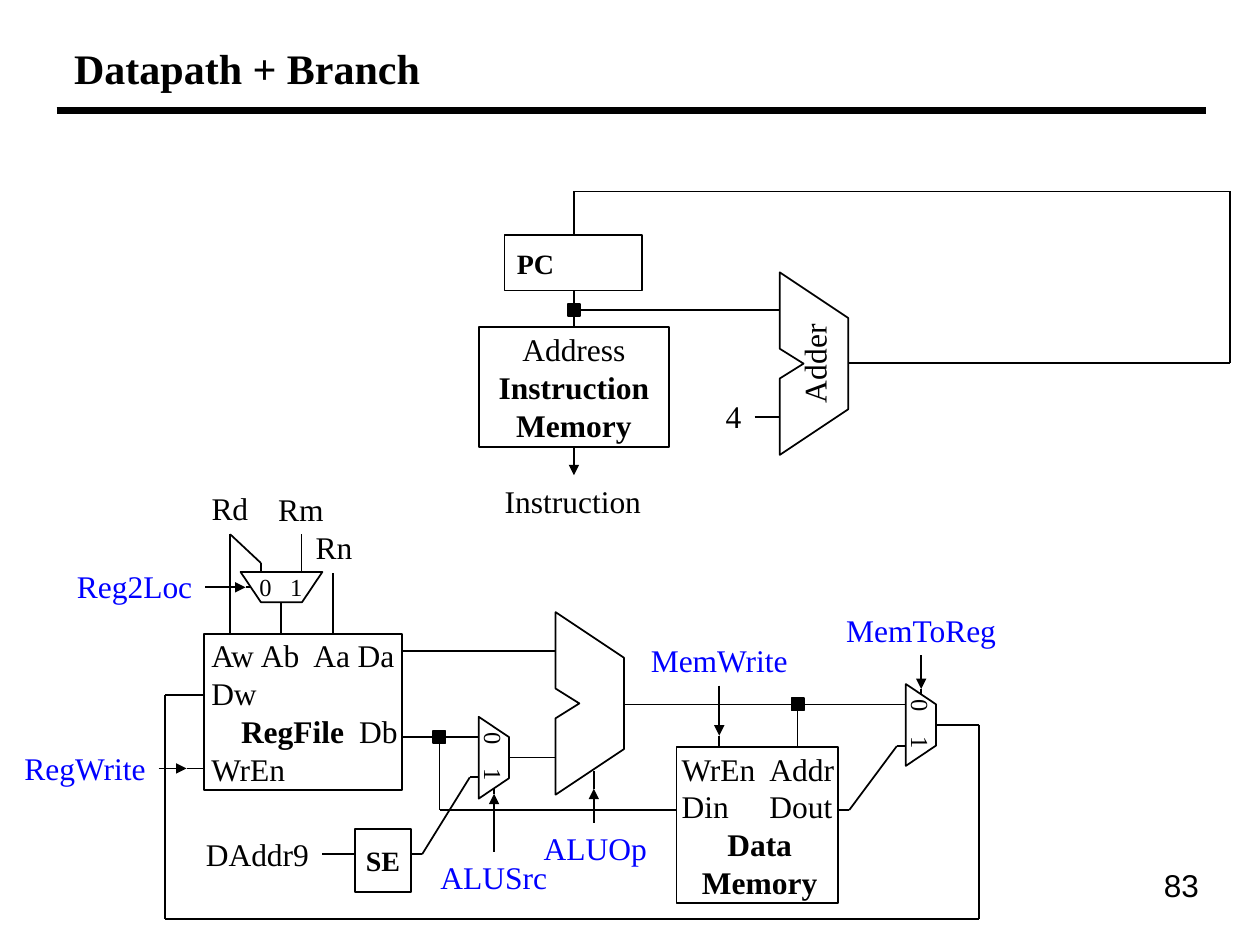
from dataclasses import dataclass

import lxml.etree
import pptx
import pptx.dml.color
import pptx.enum.shapes
import pptx.enum.text
import pptx.oxml.ns
import pptx.util

Cm, Pt = pptx.util.Cm, pptx.util.Pt
ALIGN = pptx.enum.text.PP_ALIGN
MIDDLE = pptx.enum.text.MSO_ANCHOR.MIDDLE
qn = pptx.oxml.ns.qn

BLACK, WHITE, CONTROL = "000000", "FFFFFF", "0000FF"
SERIF = "Times New Roman"
NODE = 0.25
LABEL_HEIGHT = 1.02


@dataclass
class Line:
    text: str
    bold: bool = False
    align: int = ALIGN.CENTER
    tabs: tuple[float, ...] = ()
    plain_end: str = ""


@dataclass
class Block:
    left: float
    top: float
    width: float
    height: float
    lines: list[Line]
    size: float = 18
    inset: float = 0


@dataclass
class Trapezoid:
    """Mux or ALU outline; long and depth are measured before turning."""
    left: float
    top: float
    long: float
    depth: float
    slant: float
    turn: int = 0
    notch: tuple[float, float] = (0, 0)  # half width, depth
    line: Line | None = None
    size: float = 18
    inset: float = 0


@dataclass
class Wire:
    points: list[tuple[float, float]]
    arrow: bool = False  # head at the end of the first segment


@dataclass
class Label:
    text: str
    left: float
    top: float
    width: float
    color: str = BLACK


def rgb(value: str) -> pptx.dml.color.RGBColor:
    return pptx.dml.color.RGBColor.from_string(value)


def write(frame, lines: list[Line], size: float, color: str = BLACK,
          font: str = SERIF) -> None:
    for number, line in enumerate(lines):
        paragraph = frame.add_paragraph() if number else frame.paragraphs[0]
        paragraph.text = line.text
        paragraph.alignment = line.align
        if line.tabs:
            stops = lxml.etree.SubElement(paragraph._p.get_or_add_pPr(), qn("a:tabLst"))
            for stop in line.tabs:
                lxml.etree.SubElement(stops, qn("a:tab"), pos=str(Cm(stop)), algn="l")
        if line.plain_end:
            paragraph.add_run().text = line.plain_end
        for position, run in enumerate(paragraph.runs):
            run.font.name, run.font.size = font, Pt(size)
            run.font.bold = line.bold and position == 0
            run.font.color.rgb = rgb(color)


def style(shape, fill: str = WHITE) -> None:
    shape.shadow.inherit = False
    shape.fill.solid()
    shape.fill.fore_color.rgb = rgb(fill)
    shape.line.color.rgb = rgb(BLACK)
    shape.line.width = Pt(1)


def prepare_frame(shape, inset: float):
    frame = shape.text_frame
    frame.word_wrap = True
    frame.vertical_anchor = MIDDLE
    frame.margin_left = Cm(inset)
    frame.margin_right = frame.margin_top = frame.margin_bottom = 0
    return frame


def draw_rect(slide, left, top, width, height, fill=WHITE):
    rect = slide.shapes.add_shape(pptx.enum.shapes.MSO_SHAPE.RECTANGLE,
                                  Cm(left), Cm(top), Cm(width), Cm(height))
    style(rect, fill)
    return rect


def draw_block(slide, block: Block) -> None:
    rect = draw_rect(slide, block.left, block.top, block.width, block.height)
    write(prepare_frame(rect, block.inset), block.lines, block.size)


def draw_trapezoid(slide, part: Trapezoid) -> None:
    left, top = part.left, part.top
    if part.turn:
        left -= (part.long - part.depth) / 2
        top += (part.long - part.depth) / 2
    half, dip = part.notch
    middle = part.long / 2
    outline = [(0, 0)]
    if half:
        outline += [(middle - half, 0), (middle, dip), (middle + half, 0)]
    outline += [(part.long, 0), (part.long - part.slant, part.depth),
                (part.slant, part.depth)]
    if part.turn == 90:  # keeps the long side on the left
        outline = [(x, part.depth - y) for x, y in outline]
    corners = [(Cm(left + x), Cm(top + y)) for x, y in outline]
    builder = slide.shapes.build_freeform(*corners[0])
    builder.add_line_segments(corners[1:], close=True)
    shape = builder.convert_to_shape()
    style(shape)
    shape.rotation = part.turn
    if part.line:
        write(prepare_frame(shape, part.inset), [part.line], part.size)


def draw_segment(slide, start, end, width: float = 1, arrow: bool = False) -> None:
    segment = slide.shapes.add_connector(
        pptx.enum.shapes.MSO_CONNECTOR.STRAIGHT, *map(Cm, start + end))
    segment.line.color.rgb = rgb(BLACK)
    segment.line.width = Pt(width)
    if arrow:
        lxml.etree.SubElement(segment.line._get_or_add_ln(), qn("a:tailEnd"), type="triangle")
    lxml.etree.SubElement(segment._element.spPr, qn("a:effectLst"))


def draw_wire(slide, wire: Wire) -> None:
    for number, (start, end) in enumerate(zip(wire.points, wire.points[1:])):
        draw_segment(slide, start, end, arrow=wire.arrow and number == 0)


def draw_label(slide, label: Label) -> None:
    box = slide.shapes.add_textbox(Cm(label.left), Cm(label.top),
                                   Cm(label.width), Cm(LABEL_HEIGHT))
    box.text_frame.word_wrap = False
    write(box.text_frame, [Line(label.text)], 18, label.color)


BLOCKS = [
    Block(10.17, 4.74, 2.77, 1.12, [Line("PC", True, ALIGN.LEFT)], 16, 0.25),
    Block(9.65, 6.6, 3.84, 2.41,
          [Line("Address"), Line("Instruction", True), Line("Memory", True)]),
    Block(4.11, 12.78, 3.99, 3.15,
          [Line("Aw\tAb\tAa\tDa", align=ALIGN.LEFT, tabs=(1, 2.06, 2.95)),
           Line("Dw", align=ALIGN.LEFT),
           Line("\tRegFile\t", True, ALIGN.LEFT, (0.6, 2.98), "Db"),
           Line("WrEn", align=ALIGN.LEFT)], inset=0.15),
    Block(13.64, 15.06, 3.25, 3.15,
          [Line("WrEn\tAddr", align=ALIGN.LEFT, tabs=(1.77,)),
           Line("Din\tDout", align=ALIGN.LEFT, tabs=(1.77,)),
           Line("Data", True), Line("Memory", True)], inset=0.1),
    Block(7.16, 16.71, 1.12, 1.27, [Line("SE", True)], 16),
]

ALU = dict(long=3.68, depth=1.38, slant=0.92, turn=270, notch=(0.3, 0.48))
MUX = dict(long=1.65, depth=0.61, slant=0.41, size=14)
TURNED_MUX = dict(turn=90, inset=0.32, **MUX,
                  line=Line("0\t1", align=ALIGN.LEFT, tabs=(0.73,)))
TRAPEZOIDS = [
    Trapezoid(15.72, 5.49, line=Line("Adder"), **ALU),
    Trapezoid(11.2, 12.34, **ALU),
    Trapezoid(18.26, 13.79, **TURNED_MUX),
    Trapezoid(9.65, 14.45, **TURNED_MUX),
    Trapezoid(4.85, 11.53, inset=0.38, **MUX,
              line=Line("0\t1", align=ALIGN.LEFT, tabs=(0.62,))),
]

WIRES = [
    # Program counter loop
    Wire([(17.1, 7.32), (24.79, 7.32), (24.79, 3.86), (11.57, 3.86), (11.57, 4.74)]),
    Wire([(11.57, 5.86), (11.57, 6.6)]),
    Wire([(11.57, 6.25), (15.72, 6.25)]),
    Wire([(15.21, 8.4), (15.72, 8.4)]),
    Wire([(11.57, 9.02), (11.57, 9.58)], True),
    # Register addresses
    Wire([(4.64, 12.78), (4.64, 10.77), (5.26, 11.35), (5.26, 11.53)]),
    Wire([(6.08, 10.77), (6.08, 11.53)]),
    Wire([(6.72, 11.56), (6.72, 12.78)]),
    Wire([(5.66, 12.14), (5.66, 12.78)]),
    # Register outputs to the ALU and memory
    Wire([(8.1, 13.13), (11.2, 13.13)]),
    Wire([(8.1, 14.86), (9.65, 14.86)]),
    Wire([(8.86, 14.86), (8.86, 16.33), (13.64, 16.33)]),
    Wire([(6.5, 17.22), (7.16, 17.22)]),
    Wire([(8.28, 17.22), (8.51, 17.22), (9.47, 15.67), (9.65, 15.67)]),
    Wire([(10.26, 15.27), (11.2, 15.27)]),
    # Memory access and write back
    Wire([(12.58, 14.2), (18.26, 14.2)]),
    Wire([(16.08, 14.2), (16.08, 15.06)]),
    Wire([(16.89, 16.33), (17.12, 16.33), (18.08, 15.04), (18.26, 15.04)]),
    Wire([(18.87, 14.61), (19.74, 14.61), (19.74, 18.52), (3.33, 18.52),
          (3.33, 14.01), (4.11, 14.01)]),
    # Control signals
    Wire([(3.2, 15.49), (3.76, 15.49), (4.11, 15.49)], True),
    Wire([(4.14, 11.84), (4.95, 11.84), (5.05, 11.84)], True),
    Wire([(18.57, 13.21), (18.57, 13.89), (18.57, 13.99)], True),
    Wire([(9.96, 17.17), (9.96, 16), (9.96, 15.88)], True),
    Wire([(14.5, 13.82), (14.5, 14.83), (14.5, 15.06)], True),
    Wire([(11.97, 16.59), (11.97, 15.9), (11.97, 15.54)], True),
]

NODES = [(11.57, 6.25), (8.86, 14.86), (16.08, 14.2)]

LABELS = [
    Label("Instruction", 9.9, 9.59, 3.3), Label("4", 14.37, 7.87, 0.84),
    Label("DAddr9", 3.88, 16.71, 2.62), Label("Rd", 4, 9.73, 1.27),
    Label("Rm", 5.34, 9.75, 1.45), Label("Rn", 6.1, 10.52, 1.27),
    Label("RegWrite", 0.23, 14.97, 2.97, CONTROL),
    Label("Reg2Loc", 1.28, 11.3, 2.87, CONTROL),
    Label("ALUOp", 10.69, 16.59, 2.62, CONTROL),
    Label("MemToReg", 16.79, 12.19, 3.56, CONTROL),
    Label("ALUSrc", 8.61, 17.17, 2.69, CONTROL),
    Label("MemWrite", 12.85, 12.8, 3.3, CONTROL),
]


def main() -> None:
    deck = pptx.Presentation()
    deck.slide_width, deck.slide_height = Cm(25.4), Cm(19.05)
    slide = deck.slides.add_slide(deck.slide_layouts[5])

    # Title, rule and page number
    title = slide.shapes.title
    title.left, title.top, title.width, title.height = map(Cm, (1.24, 0.62, 22.96, 1.47))
    title.text_frame.vertical_anchor = MIDDLE
    write(title.text_frame, [Line("Datapath + Branch", True, ALIGN.LEFT)], 24)
    draw_segment(slide, (1.14, 2.23), (24.31, 2.23), width=4)
    page = slide.shapes.add_textbox(Cm(19.21), Cm(17.34), Cm(5.21), Cm(1.24))
    page.text_frame.word_wrap = True
    write(page.text_frame, [Line("83", align=ALIGN.RIGHT)], 18, font="Arial")

    # Datapath
    for wire in WIRES:
        draw_wire(slide, wire)
    for block in BLOCKS:
        draw_block(slide, block)
    for part in TRAPEZOIDS:
        draw_trapezoid(slide, part)
    for x, y in NODES:
        draw_rect(slide, x - NODE / 2, y - NODE / 2, NODE, NODE, BLACK)
    for label in LABELS:
        draw_label(slide, label)

    deck.save("out.pptx")


if __name__ == "__main__":
    main()
